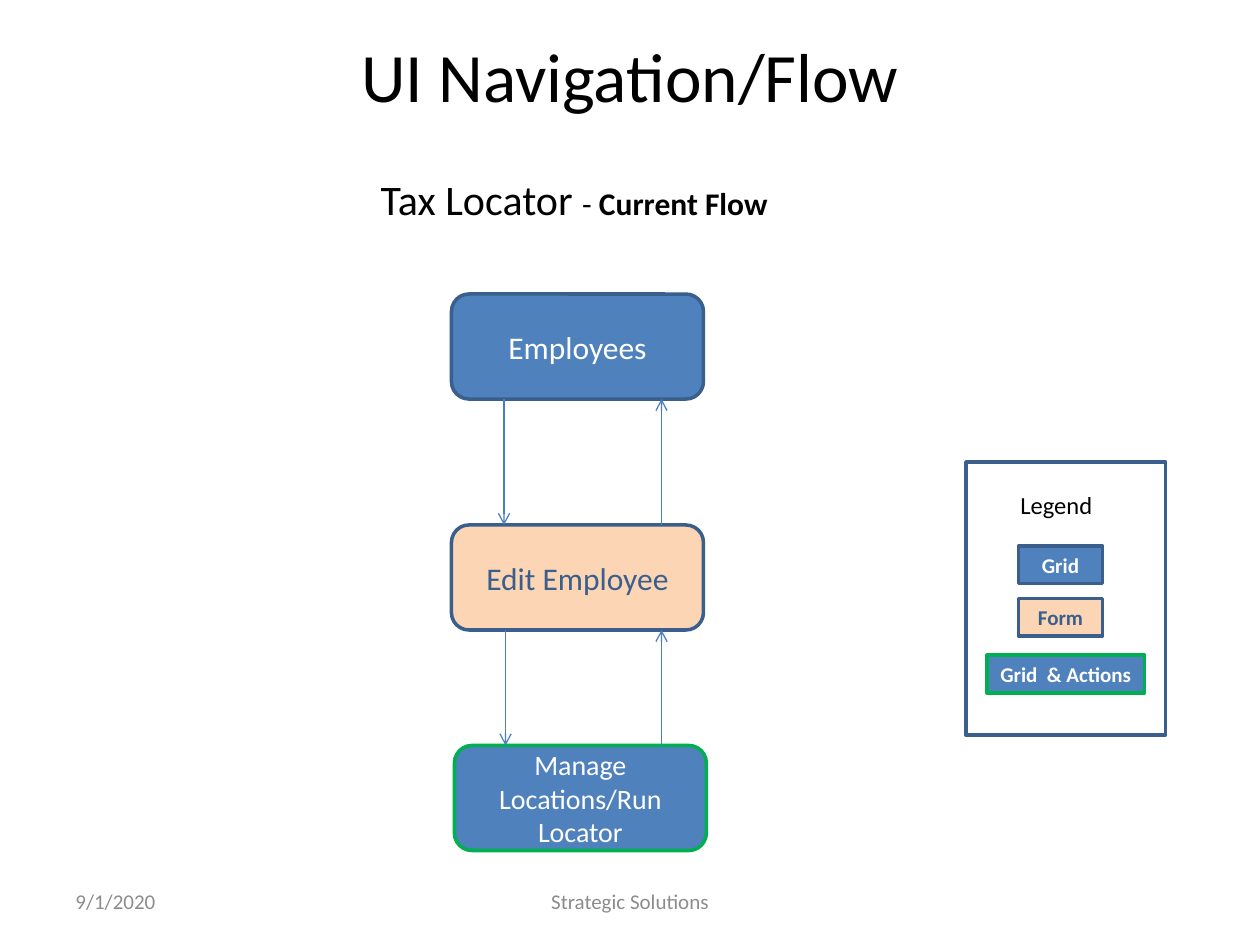
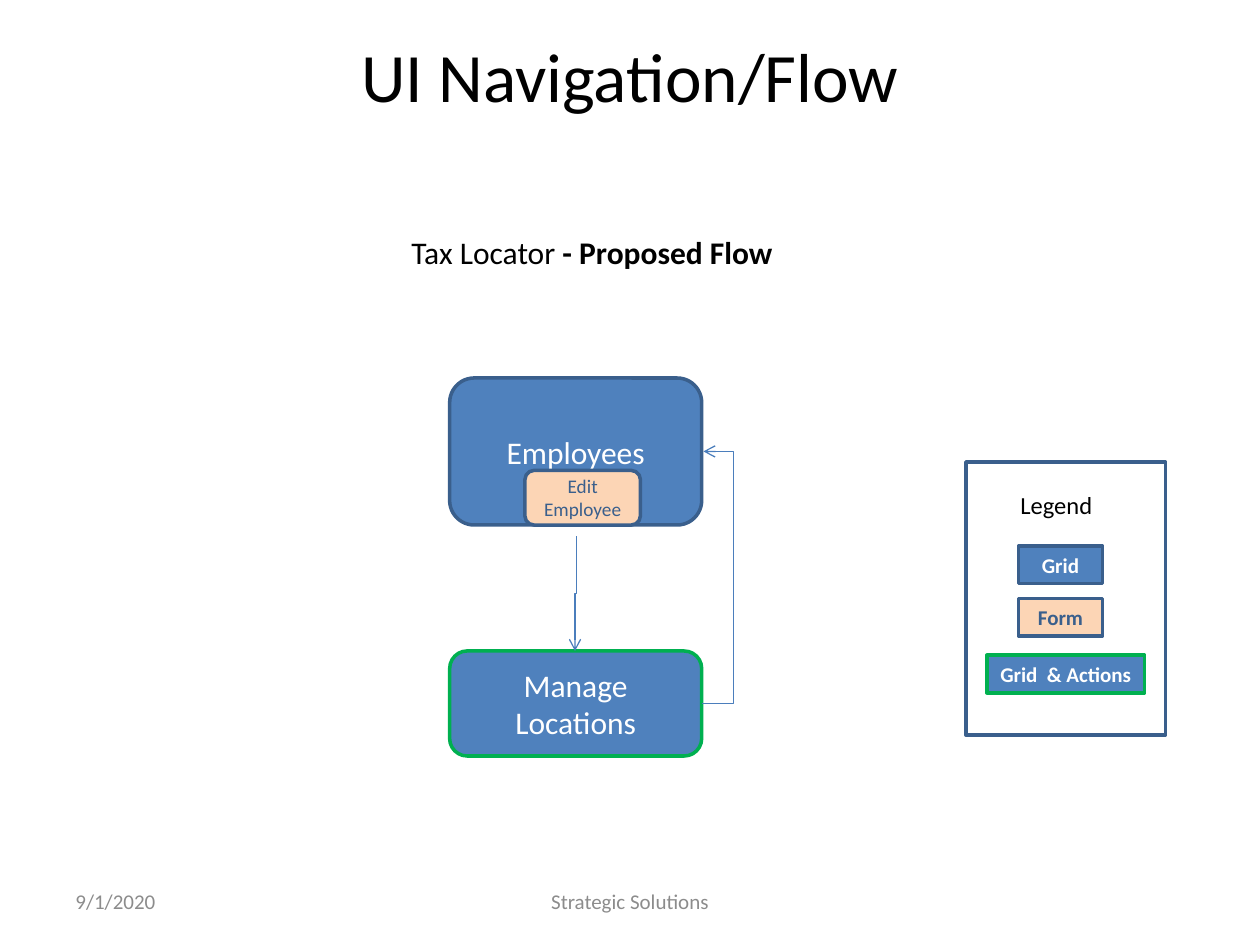
from pptx import Presentation
from pptx.dml.color import RGBColor
from pptx.enum.shapes import MSO_CONNECTOR, MSO_SHAPE
from pptx.enum.text import MSO_ANCHOR, PP_ALIGN
from pptx.oxml.ns import qn
from pptx.util import Inches, Pt
from lxml import etree

RECT, ROUND = MSO_SHAPE.RECTANGLE, MSO_SHAPE.ROUNDED_RECTANGLE
STRAIGHT, ELBOW = MSO_CONNECTOR.STRAIGHT, MSO_CONNECTOR.ELBOW
LEFT, CENTER = PP_ALIGN.LEFT, PP_ALIGN.CENTER
TOP, MIDDLE = MSO_ANCHOR.TOP, MSO_ANCHOR.MIDDLE

BLACK = RGBColor(0x00, 0x00, 0x00)
WHITE = RGBColor(0xFF, 0xFF, 0xFF)
GREY = RGBColor(0x8C, 0x8C, 0x8C)
BLUE = RGBColor(0x4F, 0x81, 0xBD)
NAVY = RGBColor(0x3A, 0x5F, 0x8C)
PEACH = RGBColor(0xFC, 0xD5, 0xB5)
GREEN = RGBColor(0x00, 0xB0, 0x50)
ARROW = RGBColor(0x4B, 0x7E, 0xBC)

FONT = "Calibri"
CELLS_PER_INCH = 12
GRID_STYLE = dict(fill=BLUE, line=NAVY)
FORM_STYLE = dict(fill=PEACH, line=NAVY, color=NAVY)
ACTION_STYLE = dict(fill=BLUE, line=GREEN)


def cells(*values):
    return [Inches(v / CELLS_PER_INCH) for v in values]


def write(tf, text, size=18, color=BLACK, bold=False, align=LEFT, anchor=TOP):
    tf.word_wrap = True
    tf.vertical_anchor = anchor
    p = tf.paragraphs[0]
    p.alignment = align
    r = p.add_run()
    r.text = text
    r.font.name = FONT
    r.font.size = Pt(size)
    r.font.bold = bold
    r.font.color.rgb = color


def add_text(shapes, at, text, **fmt):
    tf = shapes.add_textbox(*cells(*at)).text_frame
    write(tf, text, **fmt)
    return tf


def add_box(shapes, at, text="", kind=ROUND, fill=WHITE, line=NAVY, color=WHITE, **fmt):
    sp = shapes.add_shape(kind, *cells(*at))
    sp.shadow.inherit = False
    sp.fill.solid()
    sp.fill.fore_color.rgb = fill
    sp.line.color.rgb = line
    sp.line.width = Pt(2)
    if text:
        write(sp.text_frame, text, color=color, align=CENTER, anchor=MIDDLE, **fmt)


def add_arrow(shapes, x1, y1, x2, y2, kind=STRAIGHT):
    c = shapes.add_connector(kind, *cells(x1, y1, x2, y2))
    c.line.color.rgb = ARROW
    c.line.width = Pt(0.75)
    etree.SubElement(c.line._get_or_add_ln(), qn("a:tailEnd"), type="arrow")
    etree.SubElement(c._element.spPr, qn("a:effectLst"))
    return c


def add_down_elbow(shapes, x1, y1, x2, y2):
    mid_x, mid_y = (x1 + x2) / 2, (y1 + y2) / 2
    half_w, half_h = (y2 - y1) / 2, (x1 - x2) / 2
    c = add_arrow(shapes, mid_x - half_w, mid_y - half_h,
                  mid_x + half_w, mid_y + half_h, ELBOW)
    c._element.spPr.find(qn("a:xfrm")).set("rot", str(90 * 60000))


def add_side_elbow(shapes, x1, y1, x2, y2, bend_x):
    c = add_arrow(shapes, x1, y1, x2, y2, ELBOW)
    geom = c._element.spPr.find(qn("a:prstGeom"))
    guides = geom.find(qn("a:avLst"))
    if guides is None:
        guides = etree.SubElement(geom, qn("a:avLst"))
    share = round((bend_x - x1) / (x2 - x1) * 100000)
    etree.SubElement(guides, qn("a:gd"), name="adj1", fmla=f"val {share}")


def add_legend(slide):
    shapes = slide.shapes.add_group_shape().shapes
    add_box(shapes, (92, 44, 19, 26), kind=RECT)
    add_text(shapes, (96, 46.1, 9.8, 4.1), "Legend", size=14)
    for x, y, w, label, style in (
        (97, 52, 8, "Grid", GRID_STYLE),
        (97, 57, 8, "Form", FORM_STYLE),
        (94, 62.4, 15, "Grid  & Actions", ACTION_STYLE),
    ):
        add_box(shapes, (x, y, w, 3.6), label, kind=RECT, size=12, bold=True, **style)


def add_heading(slide, at, *runs):
    tf = add_text(slide.shapes, at, runs[0][0], size=runs[0][1])
    for text, size, bold in runs[1:]:
        write(tf, text, size=size, bold=bold)


def new_slide(prs):
    slide = prs.slides.add_slide(prs.slide_layouts[5])
    title = slide.shapes.title
    title.left, title.top, title.width, title.height = cells(6, 3.12, 108, 15)
    title.text_frame.margin_top = 0
    write(title.text_frame, "UI Navigation/Flow", size=39.6, align=CENTER)
    for x, w, text, align in ((6, 28, "9/1/2020", LEFT),
                              (41, 38, "Strategic Solutions", CENTER)):
        add_text(slide.shapes, (x, 83.4, w, 4.8), text, size=12, color=GREY,
                 align=align, anchor=MIDDLE)
    add_legend(slide)
    return slide


def current_flow(prs):
    slide = new_slide(prs)
    shapes = slide.shapes
    add_heading(slide, (35.08, 15.92, 40.4, 6), ("Tax Locator ", 24),
                ("- ", 18, False), ("Current Flow", 18, True))
    add_box(shapes, (43, 28, 24, 10), "Employees", **GRID_STYLE)
    add_box(shapes, (43, 50, 24, 10), "Edit Employee", **FORM_STYLE)
    add_box(shapes, (43.28, 71, 24, 10), "Manage Locations/Run Locator", size=16,
            **ACTION_STYLE)
    for down_x, upper, lower in ((48, 38, 50), (48.15, 60, 71)):
        add_arrow(shapes, down_x, upper, down_x, lower)
        add_arrow(shapes, 63, lower, 63, upper)


def proposed_flow(prs):
    slide = new_slide(prs)
    shapes = slide.shapes
    add_heading(slide, (38, 21.6, 37.1, 4.8), ("Tax Locator ", 18),
                ("- Proposed Flow", 18, True))
    add_box(shapes, (42.83, 36, 24, 14), "Employees", **GRID_STYLE)
    add_box(shapes, (42.83, 62, 24, 10), "Manage Locations", **ACTION_STYLE)
    add_down_elbow(shapes, 54.92, 51.08, 54.76, 62)
    add_side_elbow(shapes, 66.83, 67, 67, 43, bend_x=69.83)
    add_box(shapes, (50, 44.8, 11, 5.2), "Edit Employee", size=11, **FORM_STYLE)


def main():
    prs = Presentation()
    prs.slide_width, prs.slide_height = Inches(10), Inches(7.5)
    current_flow(prs)
    proposed_flow(prs)
    prs.save("out.pptx")


main()
